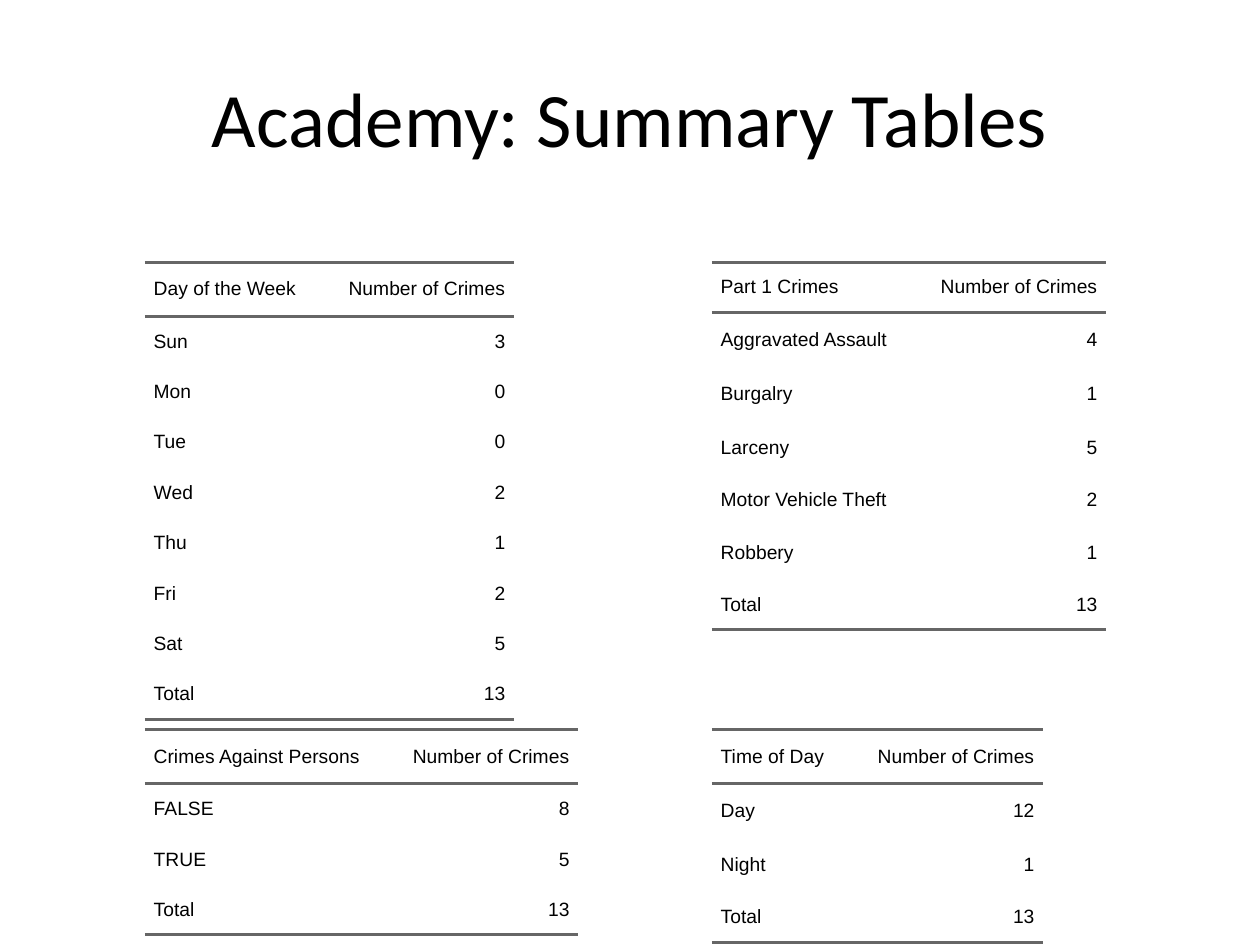
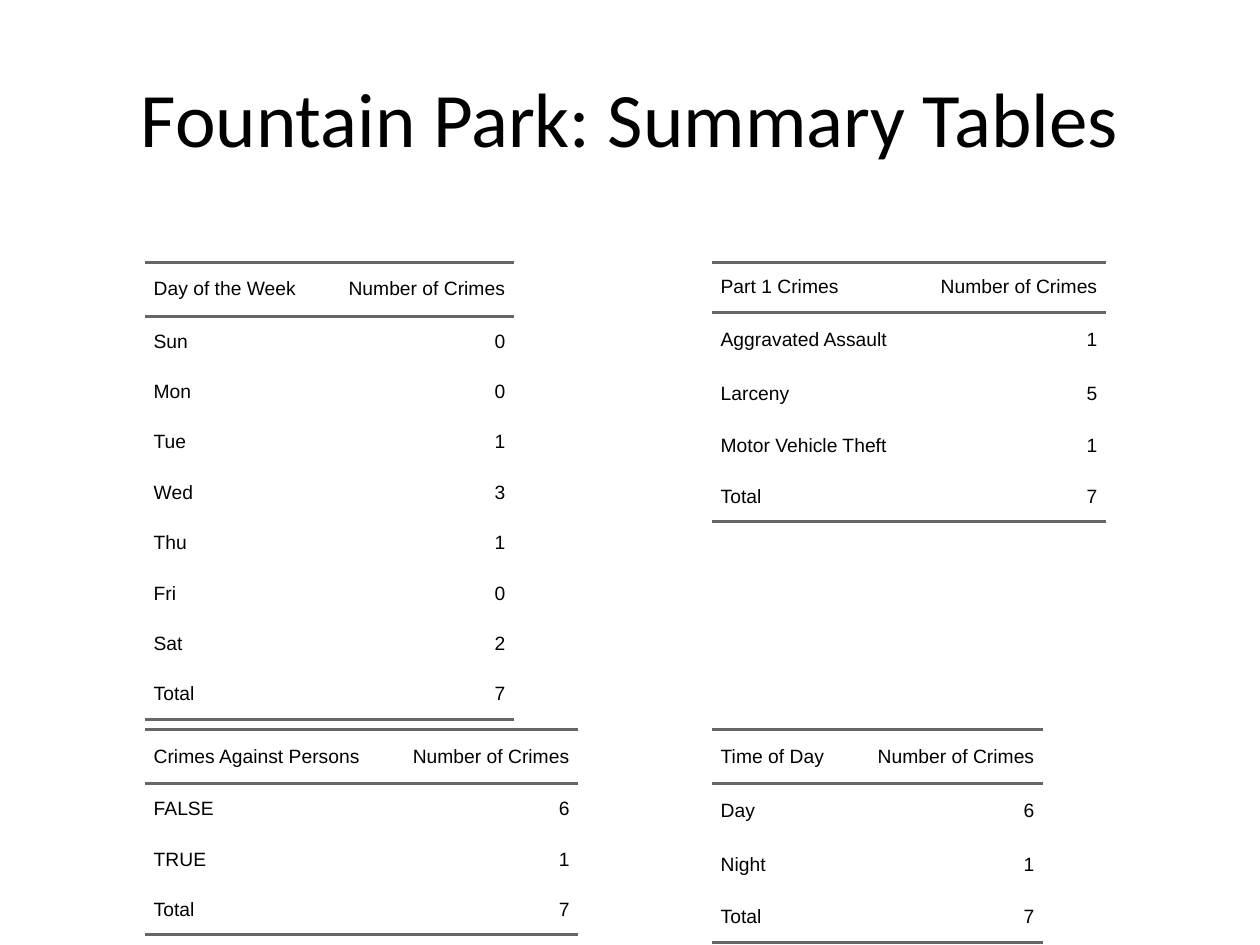
import pptx
import pptx.dml.color
import pptx.enum.text
import pptx.oxml
import pptx.oxml.ns
import pptx.util

Inches = pptx.util.Inches
Pt = pptx.util.Pt
ALIGN = pptx.enum.text.PP_ALIGN
MIDDLE = pptx.enum.text.MSO_ANCHOR.MIDDLE

COLORS = {"text": "000000", "rule": "666666", "page": "FFFFFF"}
PLAIN_STYLE = "{2D5ABB26-0587-4C30-8999-92F81FD0307C}"
TITLE_BOX = (0.5, 0.3, 9, 1.25)
LEFT, RIGHT = 1.15, 5.65
UPPER, LOWER = 2.08, 5.79
COUNT_WIDTH = 1.52
ROW_HEIGHT, TALL_HEIGHT = 0.4, 0.43
CELL_MARGIN = 0.07
RULE_POINTS = 2

DAYS = ("Sun", "Mon", "Tue", "Wed", "Thu", "Fri", "Sat")

AREAS = [
    {
        "title": "Academy: Summary Tables",
        "part_1": {"Aggravated Assault": 4, "Burgalry": 1, "Larceny": 5,
                   "Motor Vehicle Theft": 2, "Robbery": 1},
        "part_1_tall": (1, 2, 3, 5),
        "days": dict(zip(DAYS, (3, 0, 0, 2, 1, 2, 5))),
        "persons": {"FALSE": 8, "TRUE": 5},
        "times": {"Day": 12, "Night": 1},
    },
    {
        "title": "Fountain Park: Summary Tables",
        "part_1": {"Aggravated Assault": 1, "Larceny": 5, "Motor Vehicle Theft": 1},
        "part_1_tall": (1, 2),
        "days": dict(zip(DAYS, (0, 0, 1, 3, 1, 0, 2))),
        "persons": {"FALSE": 6, "TRUE": 1},
        "times": {"Day": 6, "Night": 1},
    },
]


def write_text(frame, text, font="Arial", size=11, color="text", align=ALIGN.LEFT):
    """Write one formatted paragraph into a text frame."""
    para = frame.paragraphs[0]
    para.alignment = align
    span = para.add_run()
    span.text = text
    span.font.name = font
    span.font.size = Pt(size)
    span.font.color.rgb = pptx.dml.color.RGBColor.from_string(COLORS[color])


def add_rule(cell, side):
    """Draw a grey rule along the top (lnT) or bottom (lnB) of a cell."""
    rule = pptx.oxml.parse_xml(
        f'<a:{side} {pptx.oxml.ns.nsdecls("a")} w="{Pt(RULE_POINTS)}">'
        f'<a:solidFill><a:srgbClr val="{COLORS["rule"]}"/></a:solidFill></a:{side}>')
    cell._tc.get_or_add_tcPr().append(rule)


def fill_cell(cell, text, align, sides):
    """Format a cell, draw its rules and write its text."""
    cell.margin_left = cell.margin_right = Inches(CELL_MARGIN)
    cell.margin_top = cell.margin_bottom = 0
    cell.vertical_anchor = MIDDLE
    for side in sides:
        add_rule(cell, side)
    cell.fill.background()
    write_text(cell.text_frame, text, align=align)


def add_summary(page, left, top, label_width, heading, counts, tall=(0,)):
    """Add a table of counts with a heading row and a computed total."""
    rows = [(heading, "Number of Crimes"), *counts.items(), ("Total", sum(counts.values()))]
    heights = [TALL_HEIGHT if i in tall else ROW_HEIGHT for i in range(len(rows))]
    widths = (label_width, COUNT_WIDTH)
    table = page.shapes.add_table(len(rows), len(widths), Inches(left), Inches(top),
                                  Inches(sum(widths)), Inches(sum(heights))).table
    table.first_row = table.horz_banding = False
    table._tbl.tblPr.find(pptx.oxml.ns.qn("a:tableStyleId")).text = PLAIN_STYLE
    for column, width in zip(table.columns, widths):
        column.width = Inches(width)
    rules = {0: ("lnT", "lnB"), len(rows) - 1: ("lnB",)}
    for i, (values, height) in enumerate(zip(rows, heights)):
        table.rows[i].height = Inches(height)
        for j, (value, align) in enumerate(zip(values, (ALIGN.LEFT, ALIGN.RIGHT))):
            fill_cell(table.cell(i, j), str(value), align, rules.get(i, ()))


def add_title(page, text, box):
    """Place and format the title placeholder."""
    title = page.shapes.title
    title.left, title.top, title.width, title.height = map(Inches, box)
    title.text_frame.vertical_anchor = MIDDLE
    write_text(title.text_frame, text, font="Calibri", size=44, align=ALIGN.CENTER)


def add_area_page(deck, area):
    """Add a page with the four summary tables of one area."""
    page = deck.slides.add_slide(deck.slide_layouts.get_by_name("Title Only"))
    page.background.fill.solid()
    page.background.fill.fore_color.rgb = pptx.dml.color.RGBColor.from_string(COLORS["page"])
    add_title(page, area["title"], TITLE_BOX)
    add_summary(page, RIGHT, UPPER, 1.61, "Part 1 Crimes", area["part_1"], area["part_1_tall"])
    add_summary(page, LEFT, UPPER, 1.41, "Day of the Week", area["days"])
    add_summary(page, LEFT, LOWER, 1.92, "Crimes Against Persons", area["persons"])
    add_summary(page, RIGHT, LOWER, 1.11, "Time of Day", area["times"], (0, 1, 2))


def main():
    """Build and save the deck."""
    deck = pptx.Presentation()
    deck.slide_width, deck.slide_height = Inches(10), Inches(7.5)
    for area in AREAS:
        add_area_page(deck, area)
    deck.save("out.pptx")


if __name__ == "__main__":
    main()
